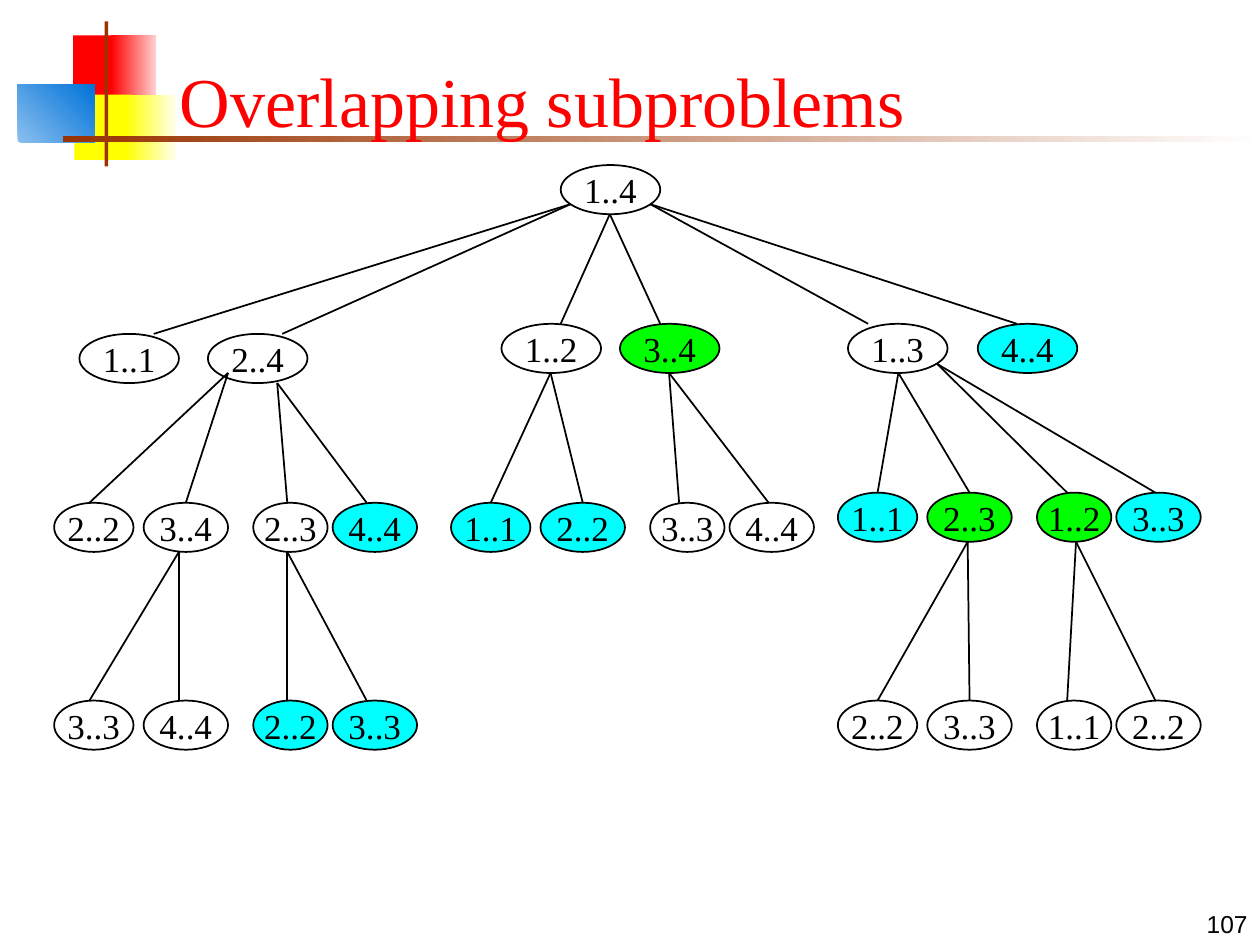
from pptx import Presentation
from pptx.dml.color import RGBColor
from pptx.enum.shapes import MSO_CONNECTOR, MSO_SHAPE
from pptx.enum.text import MSO_ANCHOR, PP_ALIGN
from pptx.oxml.ns import qn
from pptx.util import Inches, Pt
from lxml import etree

RECT, OVAL = MSO_SHAPE.RECTANGLE, MSO_SHAPE.OVAL
STRAIGHT = MSO_CONNECTOR.STRAIGHT
LEFT, CENTER, RIGHT = PP_ALIGN.LEFT, PP_ALIGN.CENTER, PP_ALIGN.RIGHT
MIDDLE, BOTTOM = MSO_ANCHOR.MIDDLE, MSO_ANCHOR.BOTTOM


class Theme:
    serif, sans = "Times New Roman", "Arial"
    title_size, node_size, number_size = 40, 20, 14
    title, ink = "FF0000", "000000"
    fills = {"plain": "FFFFFF", "reused": "00FFFF", "repeated": "00FF00"}
    line_width = 1


# Content
TITLE, NUMBER = "Overlapping subproblems", "107"

# Decoration: box, colours (two make a gradient), gradient angle
DECOR = [
    ((0.58, 0.28, 0.35, 0.52), ["FF0000"], 0),
    ((0.88, 0.28, 0.36, 0.52), ["FF0000", "FFD1D1"], 0),
    ((0.59, 0.75, 0.46, 0.52), ["FFFF00"], 0),
    ((1.00, 0.75, 0.40, 0.52), ["FFFF00", "FFFFF0"], 0),
    ((0.14, 0.67, 0.61, 0.46), ["8BBFEE", "0073D9"], 45),
    ((0.83, 0.17, 0.03, 1.15), ["993300"], 0),
    ((0.50, 1.08, 9.50, 0.05), ["993300", "FFFFFF"], 0),
]

# Wide nodes: left, top, range, state
NODE_W, NODE_H = 0.79, 0.39
WIDE_NODES = [
    (4.45, 1.31, "1..4", "plain"),
    (0.63, 2.65, "1..1", "plain"), (1.65, 2.65, "2..4", "plain"),
    (3.98, 2.57, "1..2", "plain"), (4.92, 2.57, "3..4", "repeated"),
    (6.73, 2.57, "1..3", "plain"), (7.76, 2.57, "4..4", "reused"),
]

# Rows of four nodes share their inner offsets and widths
ROW_SLOTS = [(0, 0.63), (0.71, 0.67), (1.58, 0.59), (2.21, 0.67)]
NODE_ROWS = [
    (0.43, 3.99, "2..2 3..4 2..3 4..4", "plain plain plain reused"),
    (3.58, 3.99, "1..1 2..2 3..3 4..4", "reused reused plain plain"),
    (6.65, 3.91, "1..1 2..3 1..2 3..3", "reused repeated repeated reused"),
    (0.43, 5.56, "3..3 4..4 2..2 3..3", "plain plain reused reused"),
    (6.65, 5.56, "2..2 3..3 1..1 2..2", "plain plain plain plain"),
]

# Branches: point on the parent, top of the children, x on each child
BRANCHES = [
    ((4.53, 1.62), 2.65, (1.22, 2.24)),
    ((4.84, 1.70), 2.57, (4.45, 5.24)),
    ((5.16, 1.62), 2.57, (6.89, 8.07)),
    ((1.81, 2.96), 3.99, (0.71, 1.49)),
    ((2.20, 3.04), 3.99, (2.28, 2.91)),
    ((4.37, 2.96), 3.99, (3.90, 4.61)),
    ((5.31, 2.96), 3.99, (5.39, 6.10)),
    ((7.13, 2.96), 3.91, (6.97, 7.68)),
    ((7.44, 2.89), 3.91, (8.47, 9.17)),
    ((1.42, 4.38), 5.56, (0.71, 1.42)),
    ((2.28, 4.38), 5.56, (2.28, 2.91)),
    ((7.68, 4.30), 5.56, (6.97, 7.68)),
    ((8.54, 4.30), 5.56, (8.47, 9.17)),
]


def rgb(value):
    return RGBColor.from_string(value)


def write(shape, text, *, size, font=Theme.serif, color=Theme.ink,
          align=LEFT, anchor=BOTTOM, wrap=True):
    tf = shape.text_frame
    tf.word_wrap, tf.vertical_anchor = wrap, anchor
    p = tf.paragraphs[0]
    p.alignment = align
    r = p.add_run()
    r.text = text
    r.font.name, r.font.size, r.font.color.rgb = font, Pt(size), rgb(color)


def add_decor(s, box, colors, angle):
    sp = s.shapes.add_shape(RECT, *map(Inches, box))
    sp.shadow.inherit = False
    sp.line.fill.background()
    if len(colors) == 1:
        sp.fill.solid()
        sp.fill.fore_color.rgb = rgb(colors[0])
        return
    sp.fill.gradient()
    sp.fill.gradient_angle = angle
    for position, (stop, color) in enumerate(zip(sp.fill.gradient_stops, colors)):
        stop.position, stop.color.rgb = position, rgb(color)


def add_node(s, left, top, width, text, state):
    sp = s.shapes.add_shape(OVAL, *map(Inches, (left, top, width, NODE_H)))
    sp.shadow.inherit = False
    sp.fill.solid()
    sp.fill.fore_color.rgb = rgb(Theme.fills[state])
    sp.line.color.rgb, sp.line.width = rgb(Theme.ink), Pt(Theme.line_width)
    write(sp, text, size=Theme.node_size, align=CENTER, anchor=MIDDLE, wrap=False)
    return sp


def add_branch(s, start, end, nodes):
    line = s.shapes.add_connector(STRAIGHT, *map(Inches, start + end))
    line.line.color.rgb, line.line.width = rgb(Theme.ink), Pt(Theme.line_width)
    etree.SubElement(line._element.spPr, qn("a:effectLst"))
    # Join the line where it meets the top centre of a node
    for node in nodes:
        center = node.left + node.width // 2
        if (node.top == Inches(end[1])
                and abs(center - Inches(end[0])) < Inches(0.02)):
            line.end_connect(node, 0)


def main():
    prs = Presentation()
    prs.slide_width, prs.slide_height = Inches(10), Inches(7.5)
    s = prs.slides.add_slide(prs.slide_layouts[6])

    for decor in DECOR:
        add_decor(s, *decor)

    # Slide number and title
    number = s.shapes.add_textbox(*map(Inches, (7.92, 7, 2.08, 0.5)))
    write(number, NUMBER, size=Theme.number_size, font=Theme.sans, align=RIGHT)
    title = s.shapes.add_textbox(*map(Inches, (1.33, 0.25, 8.52, 0.92)))
    write(title, TITLE, size=Theme.title_size, color=Theme.title)

    # Recursion tree
    nodes = [add_node(s, left, top, NODE_W, text, state)
             for left, top, text, state in WIDE_NODES]
    for left, top, texts, states in NODE_ROWS:
        for (dx, width), text, state in zip(ROW_SLOTS, texts.split(), states.split()):
            nodes.append(add_node(s, left + dx, top, width, text, state))
    for start, top, xs in BRANCHES:
        for x in xs:
            add_branch(s, start, (x, top), nodes)

    prs.save("out.pptx")


if __name__ == "__main__":
    main()
